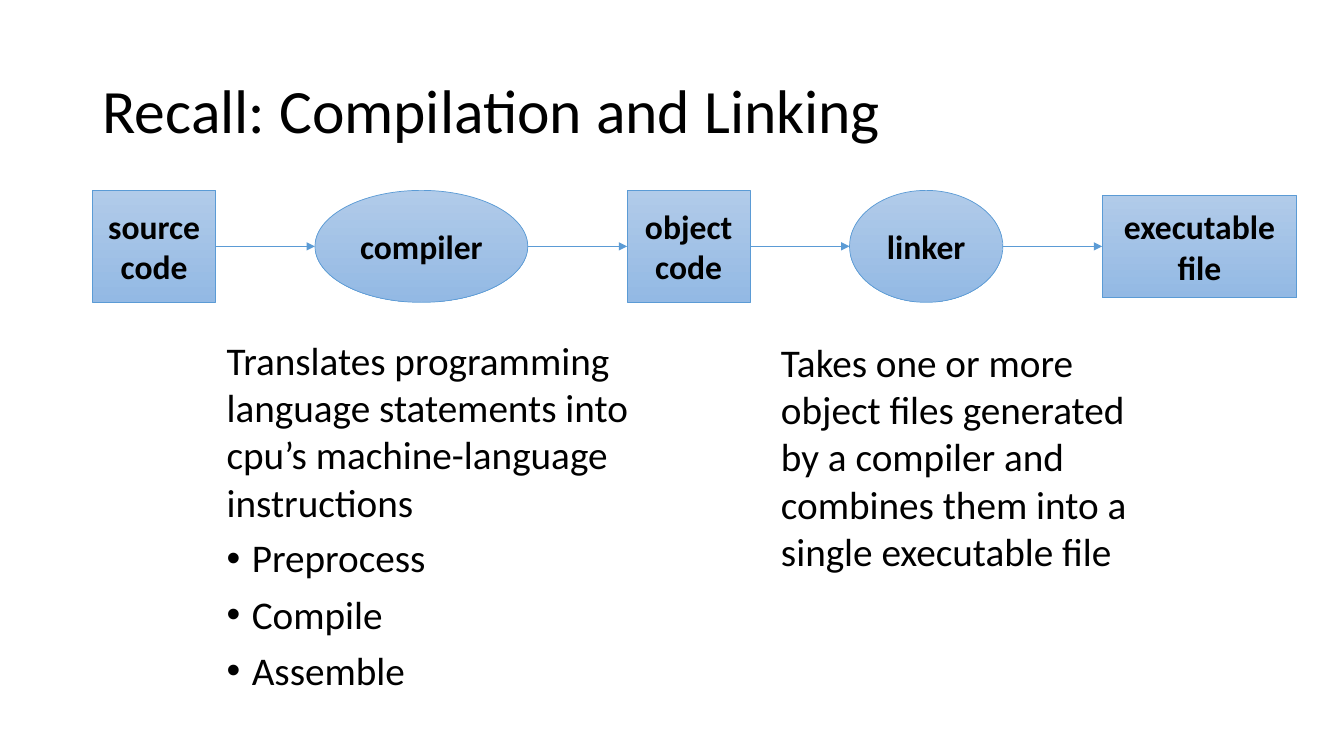
"""Build a slide on the steps from source code to an executable file."""
from dataclasses import dataclass

from lxml import etree
from pptx import Presentation
from pptx.dml.color import RGBColor
from pptx.enum.shapes import MSO_CONNECTOR, MSO_SHAPE
from pptx.enum.text import MSO_ANCHOR, PP_ALIGN
from pptx.oxml.ns import qn
from pptx.util import Pt

RECT, OVAL = MSO_SHAPE.RECTANGLE, MSO_SHAPE.OVAL
STRAIGHT = MSO_CONNECTOR.STRAIGHT
TOP, MIDDLE = MSO_ANCHOR.TOP, MSO_ANCHOR.MIDDLE
CENTER = PP_ALIGN.CENTER

BLACK = RGBColor(0x00, 0x00, 0x00)
BLUE = RGBColor(0x5B, 0x9B, 0xD5)
LIGHT_BLUE = RGBColor(0xB1, 0xCB, 0xE9)
MID_BLUE = RGBColor(0x93, 0xB9, 0xE4)

FLOW_LEFT, FLOW_Y, FLOW_GAP = 66.2, 176, 71
LINE_WIDTH = 0.5
BULLET_INDENT = 18


@dataclass
class Stage:
    kind: MSO_SHAPE
    lines: list[str]
    width: float
    height: float = 80


@dataclass
class Note:
    box: tuple[float, float, float, float]
    text: str
    bullets: tuple[str, ...] = ()
    size: float = 28
    anchor: MSO_ANCHOR = TOP
    spacing: float = 1.0


STAGES = [
    Stage(RECT, ["source", "code"], 87.8),
    Stage(OVAL, ["compiler"], 152),
    Stage(RECT, ["object", "code"], 87.8),
    Stage(OVAL, ["linker"], 109.5),
    Stage(RECT, ["executable", "file"], 139, 73.5),
]

NOTES = [
    Note((66.2, 28.8, 828, 104.4), "Recall: Compilation and Linking",
         size=44, anchor=MIDDLE, spacing=0.9),
    Note((154.8, 236.9, 325.4, 253.4),
         "Translates programming language statements into "
         "cpu’s machine-language instructions",
         ("Preprocess", "Compile", "Assemble")),
    Note((550.8, 238.3, 280, 176.4),
         "Takes one or more object files generated by a compiler "
         "and combines them into a single executable file"),
]


def format_font(p, size: float, bold: bool = False) -> None:
    fmt = {"name": "Calibri", "size": Pt(size), "bold": bold}
    for r in p.runs:
        for name, value in fmt.items():
            setattr(r.font, name, value)
        r.font.color.rgb = BLACK


def add_bullet(p) -> None:
    pPr = p._p.get_or_add_pPr()
    indent = Pt(BULLET_INDENT)
    pPr.set("marL", str(indent))
    pPr.set("indent", str(-indent))
    etree.SubElement(pPr, qn("a:buFont"), typeface="Arial")
    etree.SubElement(pPr, qn("a:buChar"), char="•")


def add_note(s, note: Note) -> None:
    tf = s.shapes.add_textbox(*map(Pt, note.box)).text_frame
    tf.word_wrap = True
    tf.vertical_anchor = note.anchor
    p = tf.paragraphs[0]
    p.text = note.text
    p.line_spacing = note.spacing
    format_font(p, note.size)
    for text in note.bullets:
        p = tf.add_paragraph()
        p.text = text
        add_bullet(p)
        p.line_spacing = 0.9
        p.space_before = Pt(10)
        format_font(p, note.size)


def add_stage(s, stage: Stage, left: float) -> None:
    sp = s.shapes.add_shape(stage.kind, Pt(left), Pt(FLOW_Y - stage.height / 2),
                            Pt(stage.width), Pt(stage.height))
    sp.shadow.inherit = False
    sp.fill.gradient()
    sp.fill.gradient_angle = 270
    for stop, color in zip(sp.fill.gradient_stops, (LIGHT_BLUE, MID_BLUE)):
        stop.color.rgb = color
    sp.line.color.rgb = BLUE
    sp.line.width = Pt(LINE_WIDTH)
    tf = sp.text_frame
    tf.word_wrap = True
    tf.vertical_anchor = MIDDLE
    tf.text = "\n".join(stage.lines)
    for p in tf.paragraphs:
        p.alignment = CENTER
        format_font(p, 24, bold=True)


def add_arrow(s, left: float) -> None:
    cxn = s.shapes.add_connector(STRAIGHT, Pt(left), Pt(FLOW_Y),
                                 Pt(left + FLOW_GAP), Pt(FLOW_Y))
    cxn.line.color.rgb = BLUE
    cxn.line.width = Pt(LINE_WIDTH)
    etree.SubElement(cxn.line._get_or_add_ln(), qn("a:tailEnd"), type="triangle")
    etree.SubElement(cxn._element.spPr, qn("a:effectLst"))


def main() -> None:
    prs = Presentation()
    prs.slide_width, prs.slide_height = Pt(960), Pt(540)
    s = prs.slides.add_slide(prs.slide_layouts[6])
    left = FLOW_LEFT
    for i, stage in enumerate(STAGES):
        if i:
            add_arrow(s, left - FLOW_GAP)
        add_stage(s, stage, left)
        left += stage.width + FLOW_GAP
    for note in NOTES:
        add_note(s, note)
    prs.save("out.pptx")


if __name__ == "__main__":
    main()
